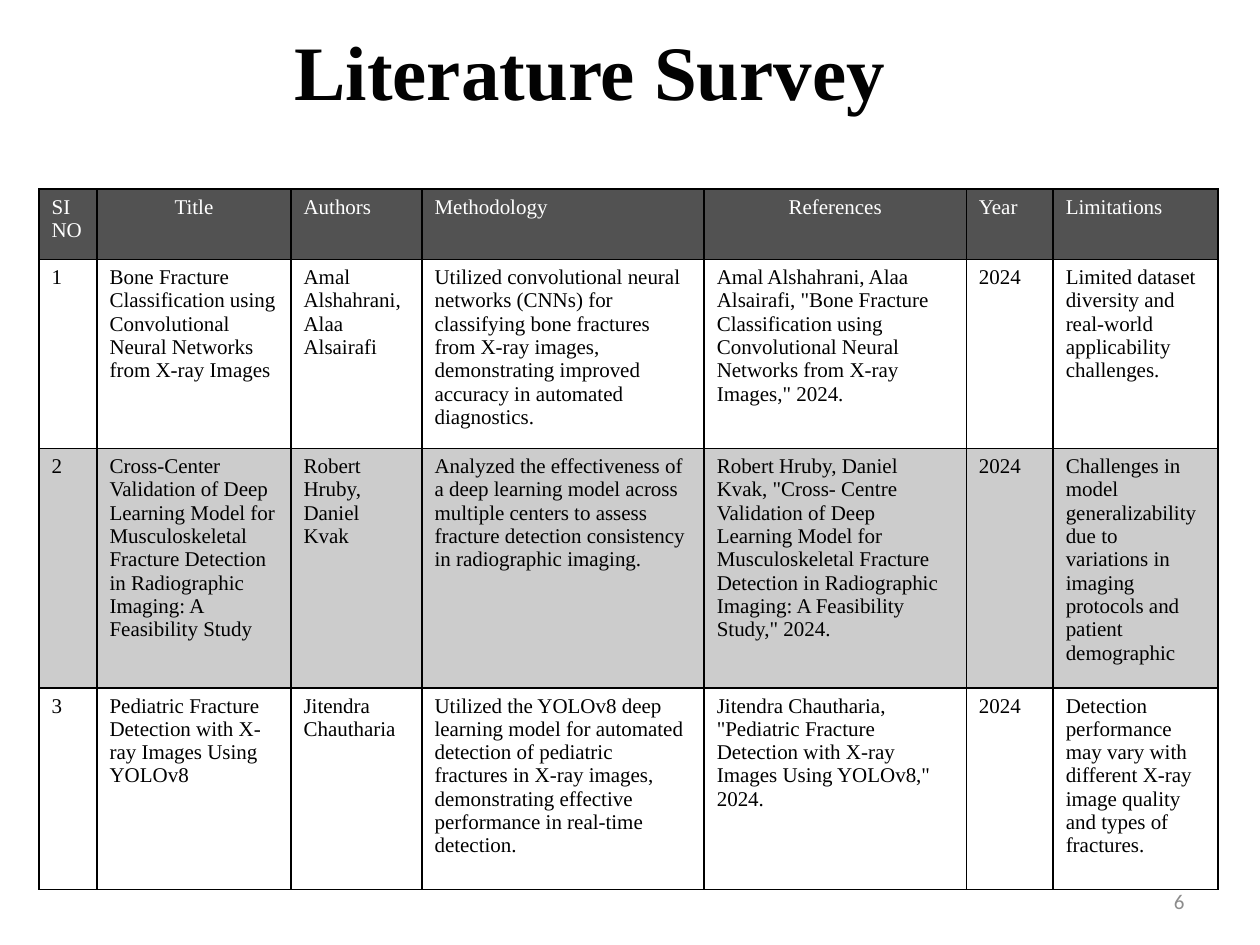
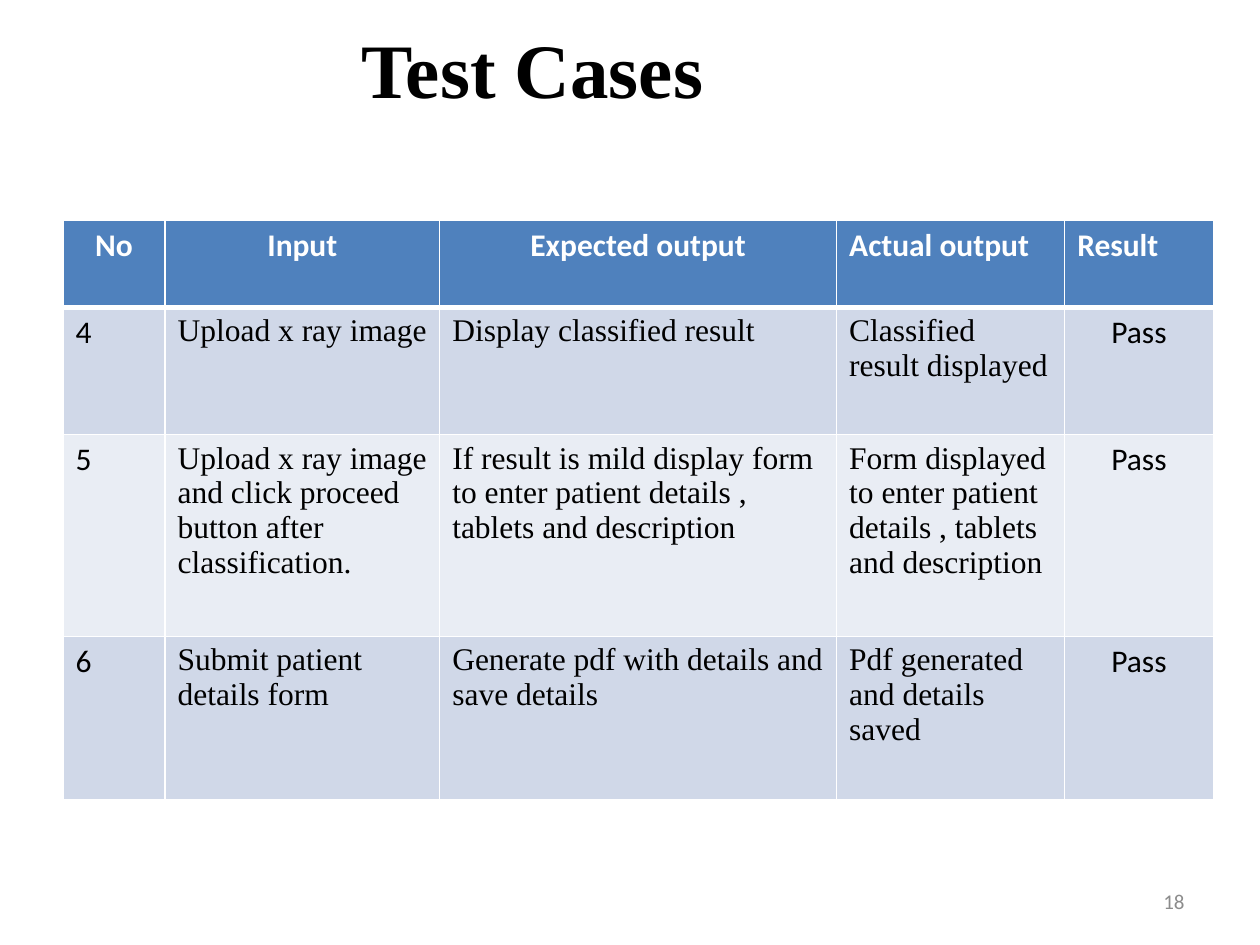
from dataclasses import dataclass

from lxml import etree
from pptx import Presentation
from pptx.dml.color import RGBColor
from pptx.enum import text
from pptx.oxml import ns
from pptx.util import Inches, Pt

ALIGN = text.PP_ALIGN


@dataclass(frozen=True)
class Theme:
    serif: str = "Times New Roman"
    sans: str = "Calibri"
    black: str = "000000"
    white: str = "FFFFFF"
    soft_black: str = "020202"
    number_gray: str = "8C8C8C"
    blue: str = "4F81BD"
    blue_band: str = "D0D8E8"
    pale_band: str = "E9EDF4"
    title_size: int = 44
    table_size: int = 18
    small_size: int = 12


THEME = Theme()


@dataclass(frozen=True)
class TableLook:
    """Row fills are (colour, opacity percent) pairs, or None for no fill."""
    size: int
    row_fills: tuple
    line: str
    header_font: str
    header_bold: bool
    body_fonts: tuple
    centred_headers: tuple
    centred_columns: tuple = ()
    header_rule: int = 1


class Deck:
    def __init__(self, theme):
        self.theme = theme
        self.deck = Presentation()
        self.deck.slide_width, self.deck.slide_height = Inches(10), Inches(7.5)
        self.page = None

    def add_page(self, number):
        self.page = self.deck.slides.add_slide(self.deck.slide_layouts[6])
        self.text_box((7.17, 6.95, 2.33, 0.4), str(number),
                      {"name": self.theme.sans, "size": Pt(self.theme.small_size)},
                      self.theme.number_gray, {"alignment": ALIGN.RIGHT},
                      {"vertical_anchor": text.MSO_ANCHOR.MIDDLE})

    def apply(self, target, values):
        for name, value in values.items():
            setattr(target, name, value)

    def fill_text(self, frame, words, font, color, layout):
        """Put each line of the words in its own paragraph."""
        for index, line in enumerate(words.split("\n")):
            para = frame.add_paragraph() if index else frame.paragraphs[0]
            self.apply(para, layout)
            span = para.add_run()
            span.text = line
            self.apply(span.font, font)
            span.font.color.rgb = RGBColor.from_string(color)

    def text_box(self, place, words, font, color, layout, frame_format):
        box = self.page.shapes.add_textbox(*map(Inches, place))
        self.apply(box.text_frame, {"word_wrap": True, **frame_format})
        self.fill_text(box.text_frame, words, font, color, layout)

    def title(self, place, words, color, layout, margins, wrap=True):
        side, end = map(Inches, margins)
        font = {"name": self.theme.serif, "size": Pt(self.theme.title_size), "bold": True}
        self.text_box(place, words, font, color, layout,
                      {"margin_left": side, "margin_right": side,
                       "margin_top": end, "margin_bottom": end, "word_wrap": wrap})

    def table(self, corner, widths, heights, rows, look):
        area = map(Inches, (*corner, sum(widths), sum(heights)))
        table = self.page.shapes.add_table(len(rows), len(widths), *area).table
        for column, width in zip(table.columns, widths):
            column.width = Inches(width)
        for row, height in zip(table.rows, heights):
            row.height = Inches(height)
        for r, values in enumerate(rows):
            for c, words in enumerate(values):
                self.cell(table.cell(r, c), r, c, words, look)

    def cell(self, cell, row, column, words, look):
        header = row == 0
        centred = look.centred_headers if header else look.centred_columns
        font = {"name": look.header_font if header else look.body_fonts[column],
                "size": Pt(look.size), "bold": header and look.header_bold}
        self.fill_text(cell.text_frame, words, font,
                       self.theme.white if header else self.theme.black,
                       {"alignment": ALIGN.CENTER if column in centred else ALIGN.LEFT})
        self.cell_fill(cell, look.row_fills[row])
        self.cell_borders(cell, look.line,
                          {"L": 1, "R": 1,
                           "T": look.header_rule if row == 1 else 1,
                           "B": look.header_rule if header else 1})

    def cell_fill(self, cell, fill):
        if fill is None:
            cell.fill.background()
            return
        color, opacity = fill
        cell.fill.solid()
        cell.fill.fore_color.rgb = RGBColor.from_string(color)
        if opacity < 100:
            node = cell._tc.tcPr.find(".//" + ns.qn("a:srgbClr"))
            etree.SubElement(node, ns.qn("a:alpha"), val=str(opacity * 1000))

    def cell_borders(self, cell, color, widths):
        for index, (side, width) in enumerate(widths.items()):
            line = etree.Element(ns.qn(f"a:ln{side}"), w=str(Pt(width)))
            fill = etree.SubElement(line, ns.qn("a:solidFill"))
            etree.SubElement(fill, ns.qn("a:srgbClr"), val=color)
            cell._tc.tcPr.insert(index, line)


SURVEY = [
    ("SI\nNO", "Title", "Authors", "Methodology", "References", "Year", "Limitations"),
    ("1",
     "Bone Fracture Classification using Convolutional Neural Networks from X-ray Images",
     "Amal Alshahrani, Alaa Alsairafi",
     "Utilized convolutional neural networks (CNNs) for classifying bone fractures from "
     "X-ray images, demonstrating improved accuracy in automated diagnostics.",
     'Amal Alshahrani, Alaa Alsairafi, "Bone Fracture Classification using Convolutional '
     'Neural Networks from X-ray Images," 2024.',
     "2024",
     "Limited dataset diversity and real-world applicability challenges."),
    ("2",
     "Cross-Center Validation of Deep Learning Model for Musculoskeletal Fracture "
     "Detection in Radiographic Imaging: A Feasibility Study",
     "Robert Hruby, Daniel Kvak",
     "Analyzed the effectiveness of a deep learning model across multiple centers to "
     "assess fracture detection consistency in radiographic imaging.",
     'Robert Hruby, Daniel Kvak, "Cross- Centre Validation of Deep Learning Model for '
     'Musculoskeletal Fracture Detection in Radiographic Imaging: A Feasibility Study," 2024.',
     "2024",
     "Challenges in model generalizability due to variations in imaging protocols and "
     "patient demographic"),
    ("3",
     "Pediatric Fracture Detection with X-ray Images Using YOLOv8",
     "Jitendra Chautharia",
     "Utilized the YOLOv8 deep learning model for automated detection of pediatric "
     "fractures in X-ray images, demonstrating effective performance in real-time detection.",
     'Jitendra Chautharia, "Pediatric Fracture Detection with X-ray Images Using YOLOv8," 2024.',
     "2024",
     "Detection performance may vary with different X-ray image quality and types of "
     "fractures."),
]

TEST_CASES = [
    ("No", "Input", "Expected output", "Actual output", "Result"),
    ("4", "Upload x ray image", "Display classified result",
     "Classified result displayed", "Pass"),
    ("5", "Upload x ray image and click proceed button after classification.",
     "If result is mild display form to enter patient details , tablets and description",
     "Form displayed to enter patient details , tablets and description", "Pass"),
    ("6", "Submit patient details form", "Generate pdf with details and save details",
     "Pdf generated and details saved", "Pass"),
]

SURVEY_LOOK = TableLook(
    size=THEME.small_size, line=THEME.black,
    row_fills=((THEME.black, 68), None, (THEME.black, 20), None),
    header_font=THEME.serif, header_bold=False,
    body_fonts=(THEME.serif,) * 7, centred_headers=(1, 4))

TEST_LOOK = TableLook(
    size=THEME.table_size, line=THEME.white, header_rule=3,
    row_fills=tuple((color, 100) for color in (
        THEME.blue, THEME.blue_band, THEME.pale_band, THEME.blue_band)),
    header_font=THEME.sans, header_bold=True,
    body_fonts=(THEME.sans, *(THEME.serif,) * 3, THEME.sans),
    centred_headers=(0, 1, 2), centred_columns=(4,))


def main():
    show = Deck(THEME)

    show.add_page(6)
    show.table((0.31, 1.5), (0.46, 1.54, 1.04, 2.24, 2.08, 0.69, 1.31),
               (0.56, 1.41, 1.79, 1.6), SURVEY, SURVEY_LOOK)
    show.title((1.38, 0.44, 6.61, 0.71), "Literature Survey", THEME.soft_black,
               {"alignment": ALIGN.CENTER, "line_spacing": Pt(34.6)}, (0, 0), wrap=False)

    show.add_page(18)
    show.title((2.8, 0.13, 4.72, 0.81), "Test Cases", THEME.black, {}, (0.07, 0.04))
    show.table((0.5, 1.75), (0.81, 2.18, 3.15, 1.81, 1.18),
               (0.69, 1.01, 1.6, 1.3), TEST_CASES, TEST_LOOK)

    show.deck.save("out.pptx")


if __name__ == "__main__":
    main()
